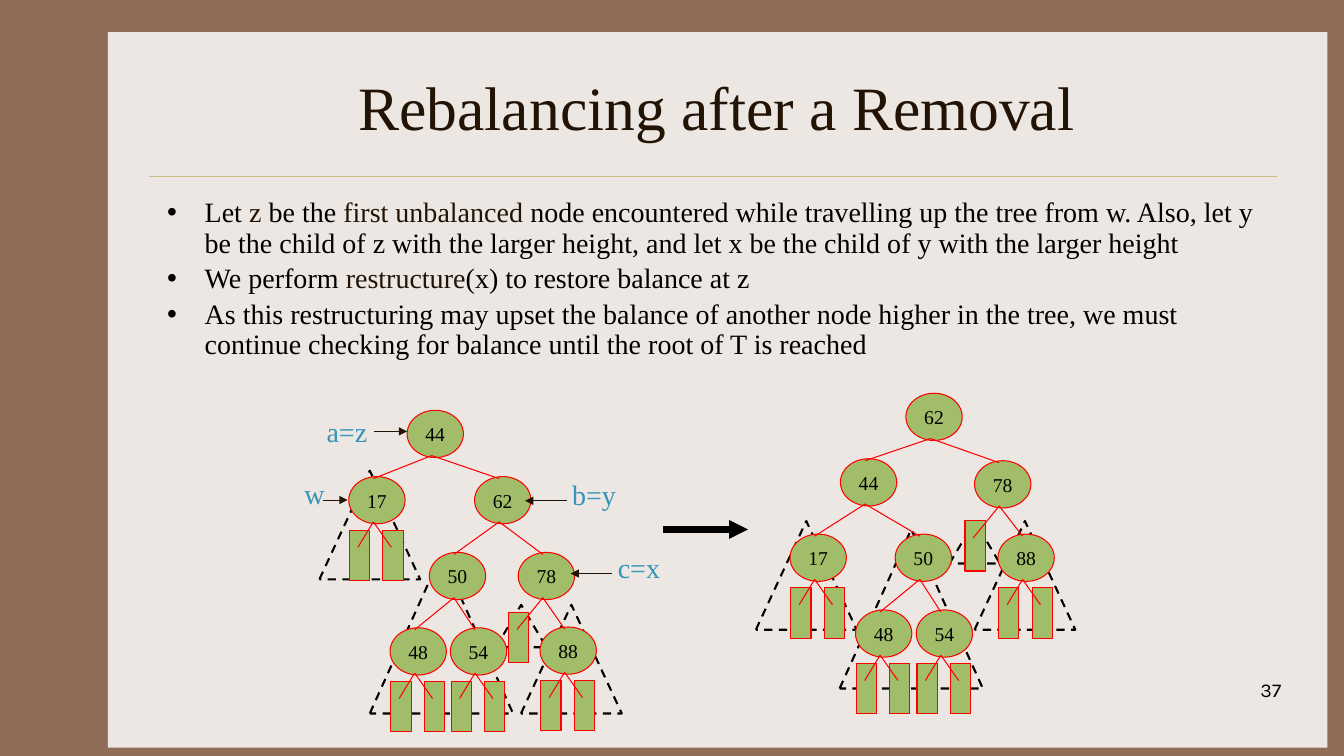
from lxml import etree
from pptx import Presentation
from pptx.dml.color import RGBColor
from pptx.enum import dml, shapes, text
from pptx.oxml.ns import qn
from pptx.util import Cm, Pt

BROWN = RGBColor(0x90, 0x6D, 0x58)
CREAM = RGBColor(0xED, 0xE7, 0xE3)
GOLD = RGBColor(0xCB, 0xBD, 0x83)
DARK = RGBColor(0x22, 0x13, 0x04)
BLACK = RGBColor(0, 0, 0)
GREEN = RGBColor(0xA1, 0xBD, 0x69)
RED = RGBColor(0xFF, 0, 0)
BLUE = RGBColor(0x36, 0x94, 0xB6)
SERIF = "Times New Roman"

prs = Presentation()
prs.slide_width, prs.slide_height = Cm(33.87), Cm(19.05)
slide = prs.slides.add_slide(prs.slide_layouts[6])
slide.background.fill.solid()
slide.background.fill.fore_color.rgb = BROWN


def add_block(kind, left, top, width, height, fill=None, line=None, weight=0.75):
    """Add a preset shape without shadow; a missing fill or line stays empty."""
    block = slide.shapes.add_shape(kind, Cm(left), Cm(top), Cm(width), Cm(height))
    block.shadow.inherit = False
    for part, colour in ((block.fill, fill), (block.line.fill, line)):
        if colour is None:
            part.background()
        else:
            part.solid()
            part.fore_color.rgb = colour
    if line is not None:
        block.line.width = Pt(weight)
    return block


def add_line(x1, y1, x2, y2, colour, weight=0.75, arrow=False):
    line = slide.shapes.add_connector(
        shapes.MSO_CONNECTOR.STRAIGHT, Cm(x1), Cm(y1), Cm(x2), Cm(y2))
    line.line.color.rgb = colour
    line.line.width = Pt(weight)
    if arrow:
        etree.SubElement(line.line._get_or_add_ln(), qn("a:tailEnd"), type="triangle")
    etree.SubElement(line._element.spPr, qn("a:effectLst"))


# Page and its rule
add_block(shapes.MSO_SHAPE.RECTANGLE, 2.72, 0.81, 30.73, 18.03, CREAM)
add_line(3.76, 4.45, 32.18, 4.45, GOLD, 0.25)

# Title, page number and the names beside the nodes
LEFT, CENTER, RIGHT = text.PP_ALIGN.LEFT, text.PP_ALIGN.CENTER, text.PP_ALIGN.RIGHT
captions = [
    ("Rebalancing after a Removal", 3.96, 1.07, 28.22, 3.18, 44, SERIF, DARK, CENTER),
    ("37", 25.48, 16.97, 7.06, 1.27, 14, "Karla", BLACK, RIGHT),
    ("w", 7.42, 11.89, 1.02, 1.12, 20, SERIF, BLUE, LEFT),
    ("c=x", 15.32, 13.74, 1.57, 1.12, 20, SERIF, BLUE, LEFT),
    ("b=y", 14.17, 11.91, 1.63, 1.12, 20, SERIF, BLUE, LEFT),
    ("a=z", 7.98, 10.31, 1.55, 1.12, 20, SERIF, BLUE, LEFT),
]
for words, left, top, width, height, size, font, colour, align in captions:
    caption = slide.shapes.add_textbox(Cm(left), Cm(top), Cm(width), Cm(height))
    frame = caption.text_frame
    frame.text = words
    frame.word_wrap = colour != BLUE
    if align == CENTER:
        frame.vertical_anchor = text.MSO_ANCHOR.MIDDLE
    frame.paragraphs[0].alignment = align
    run = frame.paragraphs[0].runs[0]
    run.font.size, run.font.name = Pt(size), font
    run.font.color.rgb = colour

# Bullets: the parts alternate between black and dark brown
bullets = [
    ["Let ", "z", " be the ", "first unbalanced",
     " node encountered while travelling up the tree from w. Also, let y be the child "
     "of z with the larger height, and let x be the child of y with the larger height"],
    ["We perform ", "restructure", "(x) to restore balance at z"],
    ["As this restructuring may upset the balance of another node higher in the tree, "
     "we must continue checking for balance until the root of T is reached"],
]
body = slide.shapes.add_textbox(Cm(3.96), Cm(4.88), Cm(28.22), Cm(11.43)).text_frame
body.word_wrap = True
for i, parts in enumerate(bullets):
    bullet = body.add_paragraph() if i else body.paragraphs[0]
    bullet.line_spacing = 0.9
    bullet.space_before = Pt(4)
    pPr = bullet._p.get_or_add_pPr()
    pPr.set("marL", str(Cm(0.95)))
    pPr.set("indent", str(-Cm(0.95)))
    etree.SubElement(pPr, qn("a:buFont"), typeface="Arial")
    etree.SubElement(pPr, qn("a:buChar"), char="•")
    for j, words in enumerate(parts):
        run = bullet.add_run()
        run.text = words
        run.font.size, run.font.name = Pt(20), SERIF
        run.font.color.rgb = DARK if j % 2 else BLACK

# Dashed subtree outlines: size, then the places
subtrees = [
    (2.54, 2.74, [(24.56, 13.13), (19.05, 13.13), (13.13, 15.24), (8.05, 11.86)]),
    (1.27, 1.07, [(23.93, 13.13), (12.5, 15.24)]),
    (3.61, 4.01, [(21.16, 13.34), (9.32, 13.97)]),
]
for width, height, places in subtrees:
    for left, top in places:
        outline = add_block(shapes.MSO_SHAPE.ISOSCELES_TRIANGLE, left, top,
                            width, height, line=BLACK, weight=1.5)
        outline.line.dash_style = dml.MSO_LINE.DASH

# Each tree: top left corner of every node, and the edges from parent to child
before = (
    {44: (10.26, 10.34), 17: (8.79, 12.01), 62: (11.96, 12.01), 78: (13.06, 13.92),
     50: (10.82, 13.92), 88: (13.61, 15.8), 48: (9.83, 15.82), 54: (11.35, 15.82)},
    [(44, 17), (44, 62), (62, 50), (62, 78), (50, 48), (50, 54), (78, 88)],
)
after = (
    {62: (22.83, 9.91), 44: (21.18, 11.56), 78: (24.56, 11.61), 17: (19.91, 13.46),
     50: (22.56, 13.46), 88: (25.15, 13.46), 48: (21.56, 15.37), 54: (23.09, 15.37)},
    [(62, 44), (62, 78), (44, 17), (44, 50), (50, 48), (50, 54), (78, 88)],
)
LEAF_PAIR = [(0.02, 1.35), (0.86, 1.35)]
leaf_offsets = {17: LEAF_PAIR, 48: LEAF_PAIR, 54: LEAF_PAIR, 88: LEAF_PAIR,
                78: [(-0.24, 1.51)]}
STEM_X, STEM_TOP, STEM_BOTTOM = 0.62, 0.05, 1.14

for nodes, edges in (before, after):
    for key, (left, top) in nodes.items():
        node = add_block(shapes.MSO_SHAPE.OVAL, left, top, 1.42, 1.19, GREEN, RED)
        frame = node.text_frame
        frame.text = str(key)
        frame.word_wrap = False
        frame.vertical_anchor = text.MSO_ANCHOR.MIDDLE
        frame.paragraphs[0].alignment = CENTER
        font = frame.paragraphs[0].runs[0].font
        font.size, font.name = Pt(14), SERIF
        font.color.rgb = BLACK
    for key, offsets in leaf_offsets.items():
        left, top = nodes[key]
        for dx, dy in offsets:
            add_block(shapes.MSO_SHAPE.RECTANGLE, left + dx, top + dy,
                      0.51, 1.27, GREEN, RED)
            add_line(left + STEM_X, top + STEM_BOTTOM,
                     left + dx + 0.21, top + dy + 0.43, RED)
    for parent, child in edges:
        (x1, y1), (x2, y2) = nodes[parent], nodes[child]
        add_line(x1 + STEM_X, y1 + STEM_BOTTOM, x2 + STEM_X, y2 + STEM_TOP, RED)

# Pointers from the names to the nodes, and the step between the trees
pointers = [(9.42, 10.26, 10.87), (8.13, 8.76, 12.6),
            (14.3, 13.23, 12.62), (15.42, 14.38, 14.45)]
for start, end, y in pointers:
    add_line(start, y, end, y, DARK, arrow=True)
add_line(16.71, 13.34, 18.85, 13.34, BLACK, 4.5, arrow=True)

prs.save("out.pptx")
